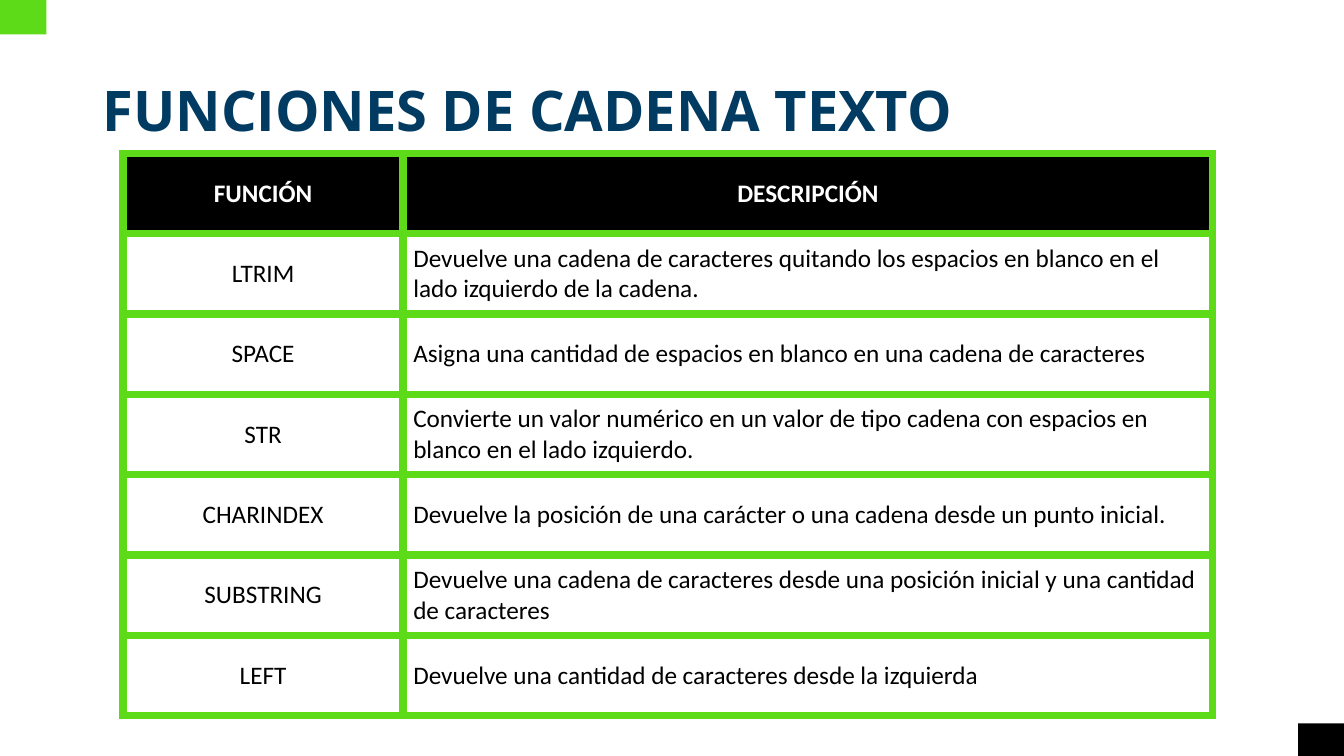
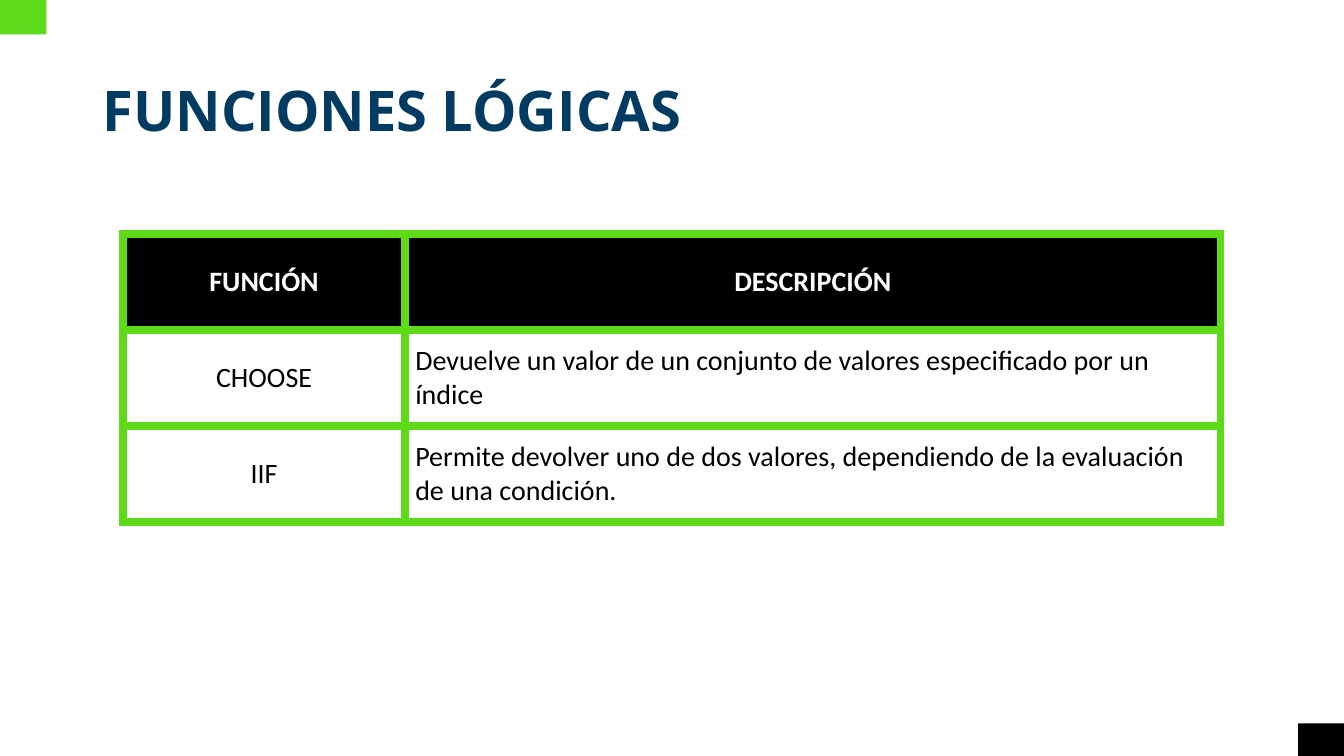
from pptx import Presentation
from pptx.dml.color import RGBColor
from pptx.enum.shapes import MSO_SHAPE
from pptx.enum.text import MSO_ANCHOR, MSO_AUTO_SIZE, PP_ALIGN
from pptx.oxml import parse_xml
from pptx.oxml.ns import nsdecls
from pptx.util import Inches, Pt

COLORS = {"green": "5DDA18", "black": "000000", "white": "FFFFFF", "navy": "013B61"}
TITLE_FONT, TABLE_FONT = "Open Sans", "Calibri"
GRID = 100
HEADINGS = ("FUNCIÓN", "DESCRIPCIÓN")


def color(name):
    return RGBColor.from_string(COLORS[name])


def write(frame, text, *, font, size, ink, bold=False, align=PP_ALIGN.LEFT, spacing=None):
    paragraph = frame.paragraphs[0]
    paragraph.alignment = align
    paragraph.line_spacing = spacing
    run = paragraph.add_run()
    run.text = text
    run.font.name = font
    run.font.size = Pt(size)
    run.font.bold = bold
    run.font.color.rgb = color(ink)


class Deck:
    def __init__(self):
        self.presentation = Presentation()
        self.presentation.slide_width = Inches(13.333)
        self.presentation.slide_height = Inches(7.5)
        self.slide = None

    def x(self, columns):
        return round(self.presentation.slide_width * columns / GRID)

    def y(self, rows):
        return round(self.presentation.slide_height * rows / GRID)

    def box(self, left, top, width, height):
        return self.x(left), self.y(top), self.x(width), self.y(height)

    def start(self, title):
        self.slide = self.presentation.slides.add_slide(self.presentation.slide_layouts[5])
        self.corner(0, 0, "green")
        self.corner(96.6, 95.7, "black")
        self.title(title)

    def corner(self, left, top, fill):
        corner = self.slide.shapes.add_shape(MSO_SHAPE.RECTANGLE, *self.box(left, top, 3.45, 4.55))
        corner.shadow.inherit = False
        corner.fill.solid()
        corner.fill.fore_color.rgb = color(fill)
        corner.line.fill.background()

    def title(self, text):
        heading = self.slide.shapes.title
        heading.left, heading.top, heading.width, heading.height = self.box(6.9, 5.33, 86.25, 19.33)
        frame = heading.text_frame
        frame.auto_size = MSO_AUTO_SIZE.NONE
        frame.word_wrap = True
        frame.vertical_anchor = MSO_ANCHOR.MIDDLE
        write(frame, text, font=TITLE_FONT, size=40, ink="navy", bold=True, spacing=0.9)

    def cell(self, cell, text, *, size, header, centered):
        properties = cell._tc.get_or_add_tcPr()
        for side in "LRTB":
            properties.append(parse_xml(
                f'<a:ln{side} {nsdecls("a")} w="{Pt(6)}"><a:solidFill>'
                f'<a:srgbClr val="{COLORS["green"]}"/></a:solidFill></a:ln{side}>'))
        cell.fill.solid()
        cell.fill.fore_color.rgb = color("black" if header else "white")
        cell.vertical_anchor = MSO_ANCHOR.MIDDLE
        write(cell.text_frame, text, font=TABLE_FONT, size=size, bold=header,
              ink="white" if header else "black",
              align=PP_ALIGN.CENTER if centered else PP_ALIGN.LEFT)

    def table(self, functions, *, top, columns, row_height, size):
        entries = [HEADINGS, *functions]
        area = self.box(9.15, top, sum(columns), row_height * len(entries))
        table = self.slide.shapes.add_table(len(entries), len(columns), *area).table
        table.horz_banding = False
        for column, width in zip(table.columns, columns):
            column.width = self.x(width)
        for r, entry in enumerate(entries):
            table.rows[r].height = self.y(row_height)
            for c, text in enumerate(entry):
                self.cell(table.cell(r, c), text, size=size, header=r == 0,
                          centered=r == 0 or c == 0)


STRING_FUNCTIONS = [
    ("LTRIM", "Devuelve una cadena de caracteres quitando los espacios en blanco en el "
              "lado izquierdo de la cadena."),
    ("SPACE", "Asigna una cantidad de espacios en blanco en una cadena de caracteres"),
    ("STR", "Convierte un valor numérico en un valor de tipo cadena con espacios en "
            "blanco en el lado izquierdo."),
    ("CHARINDEX", "Devuelve la posición de una carácter o una cadena desde un punto inicial."),
    ("SUBSTRING", "Devuelve una cadena de caracteres desde una posición inicial y una "
                  "cantidad de caracteres"),
    ("LEFT", "Devuelve una cantidad de caracteres desde la izquierda"),
]
LOGICAL_FUNCTIONS = [
    ("CHOOSE", "Devuelve un valor de un conjunto de valores especificado por un índice"),
    ("IIF", "Permite devolver uno de dos valores, dependiendo de la evaluación de una condición."),
]

deck = Deck()
deck.start("FUNCIONES DE CADENA TEXTO")
deck.table(STRING_FUNCTIONS, top=20.27, columns=(20.85, 60.23), row_height=10.63, size=18)
deck.start("FUNCIONES LÓGICAS")
deck.table(LOGICAL_FUNCTIONS, top=30.93, columns=(21, 60.68), row_height=12.71, size=20)
deck.presentation.save("out.pptx")
